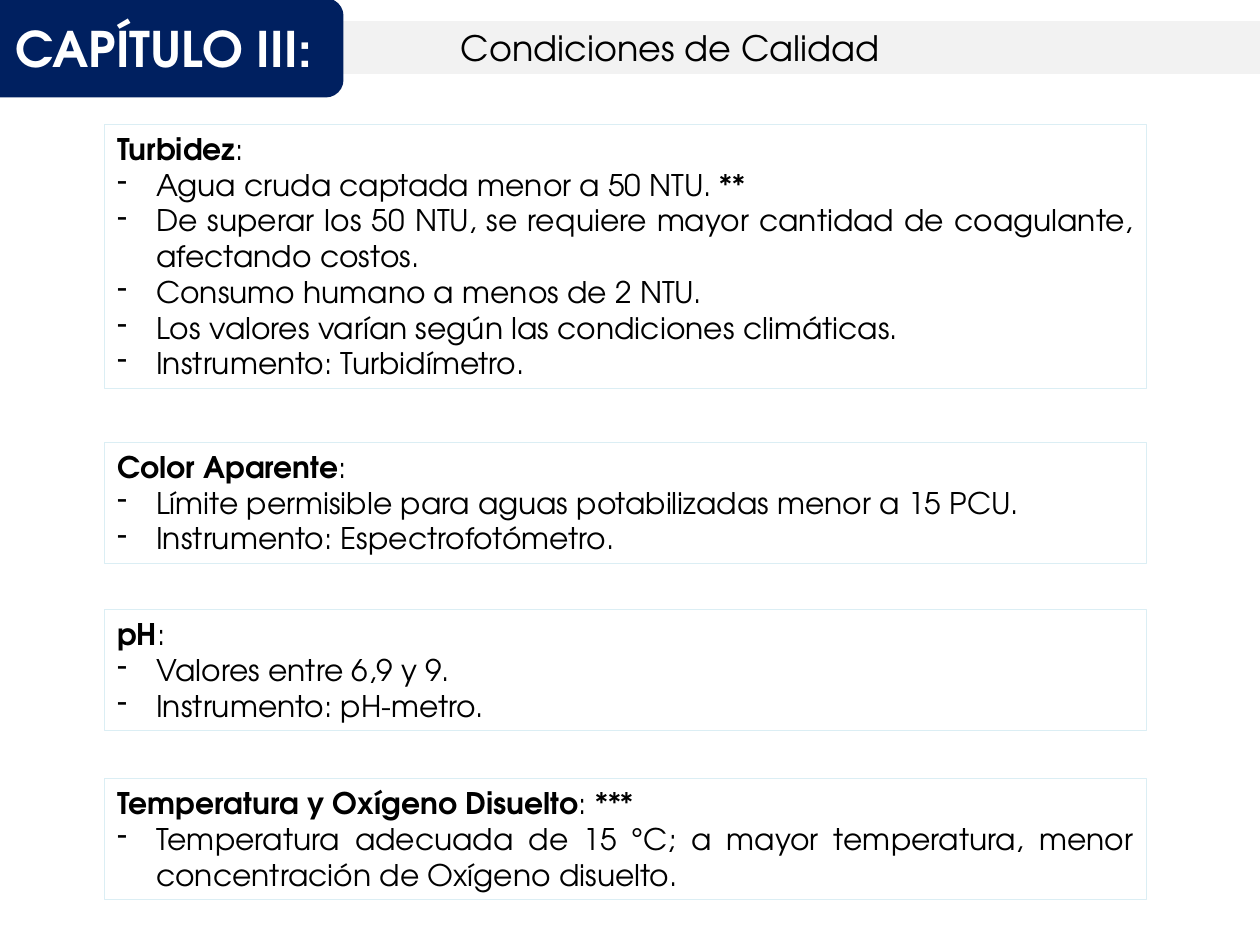
from pptx import Presentation
from pptx.dml.color import RGBColor
from pptx.enum.shapes import MSO_SHAPE
from pptx.enum.text import MSO_ANCHOR, MSO_AUTO_SIZE, PP_ALIGN
from pptx.oxml.ns import qn
from pptx.util import Cm, Pt
from lxml import etree

RECT, ROUND = MSO_SHAPE.RECTANGLE, MSO_SHAPE.ROUNDED_RECTANGLE
TOP, MIDDLE = MSO_ANCHOR.TOP, MSO_ANCHOR.MIDDLE
NONE, GROW = MSO_AUTO_SIZE.NONE, MSO_AUTO_SIZE.SHAPE_TO_FIT_TEXT
LEFT, CENTER, JUSTIFY = PP_ALIGN.LEFT, PP_ALIGN.CENTER, PP_ALIGN.JUSTIFY

FONT = "TeX Gyre Adventor"
BLACK = RGBColor(0x00, 0x00, 0x00)
WHITE = RGBColor(0xFF, 0xFF, 0xFF)
GRAY = RGBColor(0xF2, 0xF2, 0xF2)
NAVY = RGBColor(0x00, 0x20, 0x60)
PALE = RGBColor(0xDB, 0xEE, 0xF4)
INDENT = Cm(0.79)


def style(run, size, color, bold=False):
    run.font.name = FONT
    run.font.size = Pt(size)
    run.font.color.rgb = color
    run.font.bold = bold


def paint(shape, color, width, filled=True):
    if filled:
        shape.fill.solid()
        shape.fill.fore_color.rgb = color
    else:
        shape.fill.background()
    shape.line.color.rgb = color
    shape.line.width = Pt(width)


prs = Presentation()
prs.slide_width, prs.slide_height = Cm(25.4), Cm(19.05)
slide = prs.slides.add_slide(prs.slide_layouts[5])

# Title on the gray band
title = slide.shapes.title
title.left, title.top, title.width, title.height = Cm(6.5), Cm(0.46), Cm(18.9), Cm(0.99)
paint(title, GRAY, 2)
frame = title.text_frame
frame.text = "Condiciones de Calidad"
frame.auto_size = NONE
frame.vertical_anchor = MIDDLE
frame.margin_left = Cm(2.79)
frame.paragraphs[0].alignment = LEFT
style(frame.paragraphs[0].runs[0], 20, BLACK)

# Chapter badge
badge = slide.shapes.add_shape(ROUND, Cm(-0.3), Cm(0), Cm(7.19), Cm(1.93))
badge.shadow.inherit = False
paint(badge, NAVY, 2)
frame = badge.text_frame
frame.text = "CAPÍTULO III:"
frame.vertical_anchor = MIDDLE
frame.paragraphs[0].alignment = CENTER
style(frame.paragraphs[0].runs[0], 28, WHITE, True)

# Quality conditions: top, height, heading, rest of heading, items
topics = [
    (2.51, 5.33, "Turbidez", ":", [
        "Agua cruda captada menor a 50 NTU. **",
        "De superar los 50 NTU, se requiere mayor cantidad de coagulante, afectando costos.",
        "Consumo humano a menos de 2 NTU.",
        "Los valores varían según las condiciones climáticas.",
        "Instrumento: Turbidímetro."]),
    (8.92, 2.44, "Color Aparente", ":", [
        "Límite permisible para aguas potabilizadas menor a 15 PCU.",
        "Instrumento: Espectrofotómetro."]),
    (12.29, 2.44, "pH", ":", [
        "Valores entre 6,9 y 9.",
        "Instrumento: pH-metro."]),
    (15.7, 2.44, "Temperatura y Oxígeno Disuelto", ": ***", [
        "Temperatura adecuada de 15 °C; a mayor temperatura, "
        "menor concentración de Oxígeno disuelto."]),
]

for top, height, name, tail, items in topics:
    box = slide.shapes.add_shape(RECT, Cm(2.11), Cm(top), Cm(21), Cm(height))
    box.shadow.inherit = False
    paint(box, PALE, 0.75, filled=False)
    frame = box.text_frame
    frame.word_wrap = True
    frame.auto_size = GROW
    frame.vertical_anchor = TOP

    # Heading in bold, its ending in regular
    head = frame.paragraphs[0]
    head.text = name
    head.alignment = JUSTIFY
    style(head.runs[0], 17, BLACK, True)
    rest = head.add_run()
    rest.text = tail
    style(rest, 17, BLACK)

    # Dashed items with a hanging indent
    for item in items:
        para = frame.add_paragraph()
        para.text = item
        para.alignment = JUSTIFY
        style(para.runs[0], 17, BLACK)
        props = para._p.get_or_add_pPr()
        props.set("marL", str(INDENT))
        props.set("indent", str(-INDENT))
        etree.SubElement(props, qn("a:buChar")).set("char", "-")

prs.save("out.pptx")
